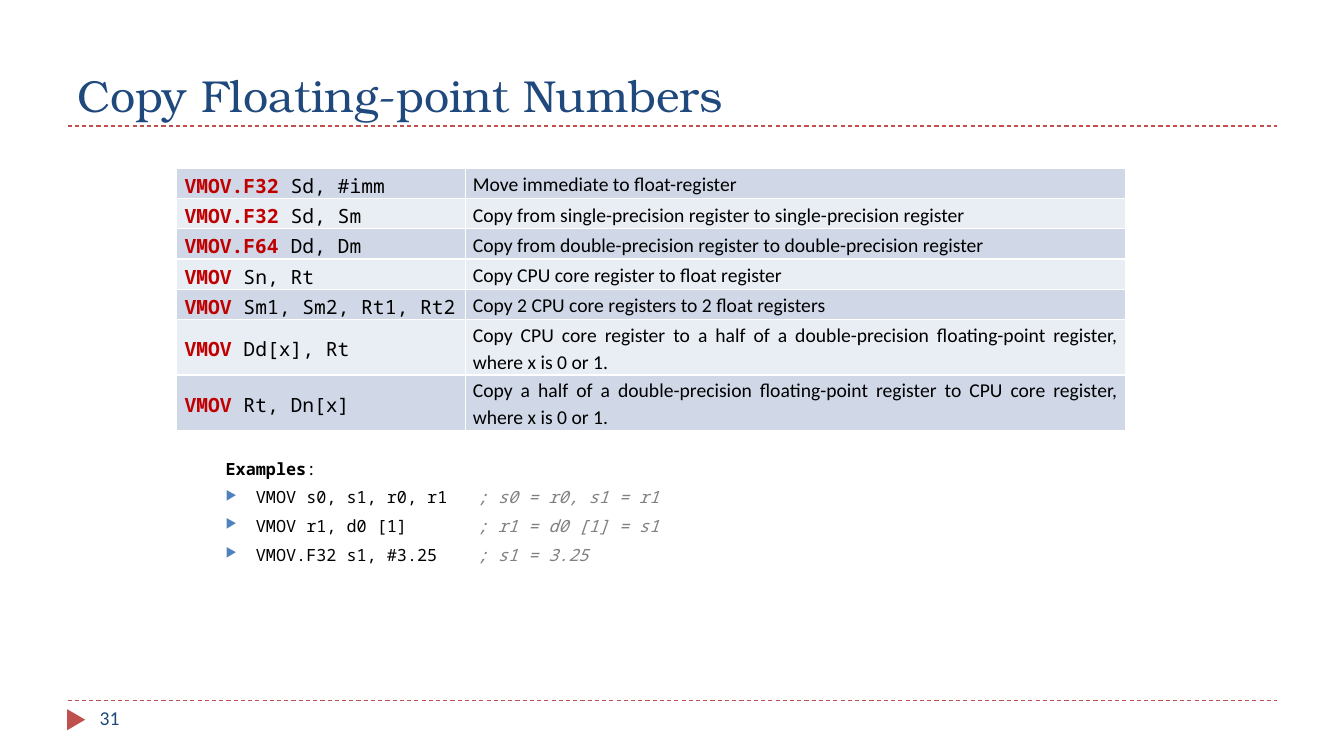
from lxml.etree import SubElement
from pptx import Presentation
from pptx.dml.color import RGBColor
from pptx.enum.dml import MSO_LINE
from pptx.enum.shapes import MSO_CONNECTOR, MSO_SHAPE
from pptx.enum.text import MSO_ANCHOR, PP_ALIGN
from pptx.oxml import parse_xml
from pptx.oxml.ns import nsdecls, qn
from pptx.util import Inches, Pt

NAVY, RED, BLUE, BLACK, GRAY = "1F497D", "C0504D", "4F81BD", "000000", "808080"
MNEMONIC = "C00000"
BANDS = ["D0D8E8", "E9EDF4"]
SERIF, SANS, MONO = "TeX Gyre Bonum", "Calibri", "Noto Sans Mono"

JUSTIFY, LEFT = PP_ALIGN.JUSTIFY, PP_ALIGN.LEFT
INSTRUCTIONS = [
    ("VMOV.F32", "Sd, #imm", "Move immediate to float-register", JUSTIFY, 1),
    ("VMOV.F32", "Sd, Sm",
     "Copy from single-precision register to single-precision register", LEFT, 1),
    ("VMOV.F64", "Dd, Dm",
     "Copy from double-precision register to double-precision register", LEFT, 1),
    ("VMOV", "Sn, Rt", "Copy CPU core register to float register", JUSTIFY, 1),
    ("VMOV", "Sm1, Sm2, Rt1, Rt2",
     "Copy 2 CPU core registers to 2 float registers", JUSTIFY, 1),
    ("VMOV", "Dd[x], Rt", "Copy CPU core register to a half of a double-precision "
     "floating-point register, where x is 0 or 1.", JUSTIFY, 2),
    ("VMOV", "Rt, Dn[x]", "Copy a half of a double-precision floating-point register "
     "to CPU core register, where x is 0 or 1.", JUSTIFY, 2),
]
EXAMPLES = [
    ("VMOV s0, s1, r0, r1", "; s0 = r0, s1 = r1"),
    ("VMOV r1, d0 [1]", "; r1 = d0 [1] = s1"),
    ("VMOV.F32 s1, #3.25", "; s1 = 3.25"),
]
COMMENT_COLUMN = max(len(code) for code, _ in EXAMPLES) + 3


def color(value):
    return RGBColor.from_string(value)


def add_span(para, text, hue, **formats):
    span = para.add_run()
    span.text = text
    span.font.color.rgb = color(hue)
    for name, value in formats.items():
        setattr(span.font, name, value)


def add_text_frame(page, left, top, width, height, anchor=MSO_ANCHOR.TOP):
    box = page.shapes.add_textbox(Inches(left), Inches(top), Inches(width), Inches(height))
    frame = box.text_frame
    frame.word_wrap = True
    frame.vertical_anchor = anchor
    return frame


def add_rule(page, left, top, width):
    rule = page.shapes.add_connector(
        MSO_CONNECTOR.STRAIGHT, Inches(left), Inches(top), Inches(left + width), Inches(top))
    rule.line.color.rgb = color(RED)
    rule.line.width = Pt(0.75)
    rule.line.dash_style = MSO_LINE.DASH
    SubElement(rule._element.spPr, qn("a:effectLst"))


def add_title(page, left, top, width, height):
    frame = add_text_frame(page, left, top, width, height, MSO_ANCHOR.BOTTOM)
    add_span(frame.paragraphs[0], "Copy Floating-point Numbers", NAVY,
             name=SERIF, size=Pt(32))
    add_rule(page, left, top + height, width)


def add_footer(page, left, top, width):
    add_rule(page, left, top, width)
    marker = page.shapes.add_shape(
        MSO_SHAPE.ISOSCELES_TRIANGLE, Inches(left - 0.02), Inches(top + 0.1),
        Inches(0.21), Inches(0.18))
    marker.rotation = 90
    marker.shadow.inherit = False
    marker.fill.solid()
    marker.fill.fore_color.rgb = color(RED)
    marker.line.fill.background()
    # Page number
    frame = add_text_frame(page, left + 0.22, top, 2.89, 0.4)
    add_span(frame.paragraphs[0], "31", NAVY, name=SANS, size=Pt(14))


def format_cell(cell, fill, margins, align):
    cell.fill.solid()
    cell.fill.fore_color.rgb = color(fill)
    cell.vertical_anchor = MSO_ANCHOR.MIDDLE
    for side, margin in zip(("left", "right", "top", "bottom"), margins):
        setattr(cell, f"margin_{side}", Inches(margin))
    # White borders come before the fill
    for index, edge in enumerate(("lnL", "lnR", "lnT", "lnB")):
        border = parse_xml(
            f'<a:{edge} {nsdecls("a")} w="12700"><a:solidFill>'
            f'<a:srgbClr val="FFFFFF"/></a:solidFill></a:{edge}>')
        cell._tc.get_or_add_tcPr().insert(index, border)
    para = cell.text_frame.paragraphs[0]
    para.alignment = align
    para.line_spacing = 1.15
    return para


def add_instruction_table(page, left, top, column_widths):
    heights = {1: 0.3, 2: 0.55}
    total = sum(heights[lines] for *_, lines in INSTRUCTIONS)
    table = page.shapes.add_table(
        len(INSTRUCTIONS), len(column_widths), Inches(left), Inches(top),
        Inches(sum(column_widths)), Inches(total)).table
    table.first_row = table.horz_banding = False
    for column, width in zip(table.columns, column_widths):
        column.width = Inches(width)
    for index, (mnemonic, operands, meaning, align, lines) in enumerate(INSTRUCTIONS):
        table.rows[index].height = Inches(heights[lines])
        fill = BANDS[index % 2]
        para = format_cell(table.cell(index, 0), fill, (0.08, 0, 0, 0), JUSTIFY)
        add_span(para, mnemonic + " ", MNEMONIC, name=MONO, size=Pt(14), bold=True)
        add_span(para, operands, BLACK, name=MONO, size=Pt(14), bold=False)
        para = format_cell(table.cell(index, 1), fill, (0.07, 0.07, 0, 0), align)
        add_span(para, meaning, BLACK, name=SANS, size=Pt(14), bold=False)


def add_bullet(para):
    properties = para._p.get_or_add_pPr()
    properties.set("marL", str(Inches(0.3)))
    properties.set("indent", str(-Inches(0.3)))
    hue = SubElement(properties, qn("a:buClr"))
    SubElement(hue, qn("a:srgbClr"), val=BLUE)
    SubElement(properties, qn("a:buSzPct"), val="76000")
    SubElement(properties, qn("a:buChar"), char="▶")


def add_examples(page, left, top, width, height):
    frame = add_text_frame(page, left, top, width, height)
    code_font = {"name": MONO, "size": Pt(12)}
    heading = frame.paragraphs[0]
    add_span(heading, "Examples", BLACK, bold=True, **code_font)
    add_span(heading, ":", BLACK, **code_font)
    for code, comment in EXAMPLES:
        para = frame.add_paragraph()
        add_bullet(para)
        para.space_before = Pt(6)
        add_span(para, code.ljust(COMMENT_COLUMN), BLACK, **code_font)
        add_span(para, comment, GRAY, italic=True, **code_font)


def main():
    deck = Presentation()
    deck.slide_width, deck.slide_height = Inches(13.33), Inches(7.5)
    page = deck.slides.add_slide(deck.slide_layouts[6])
    add_title(page, 0.67, 0.17, 12, 1.08)
    add_footer(page, 0.67, 6.95, 12)
    add_instruction_table(page, 1.75, 1.67, (2.87, 6.54))
    add_examples(page, 2.14, 4.5, 9, 2.28)
    deck.save("out.pptx")


if __name__ == "__main__":
    main()
